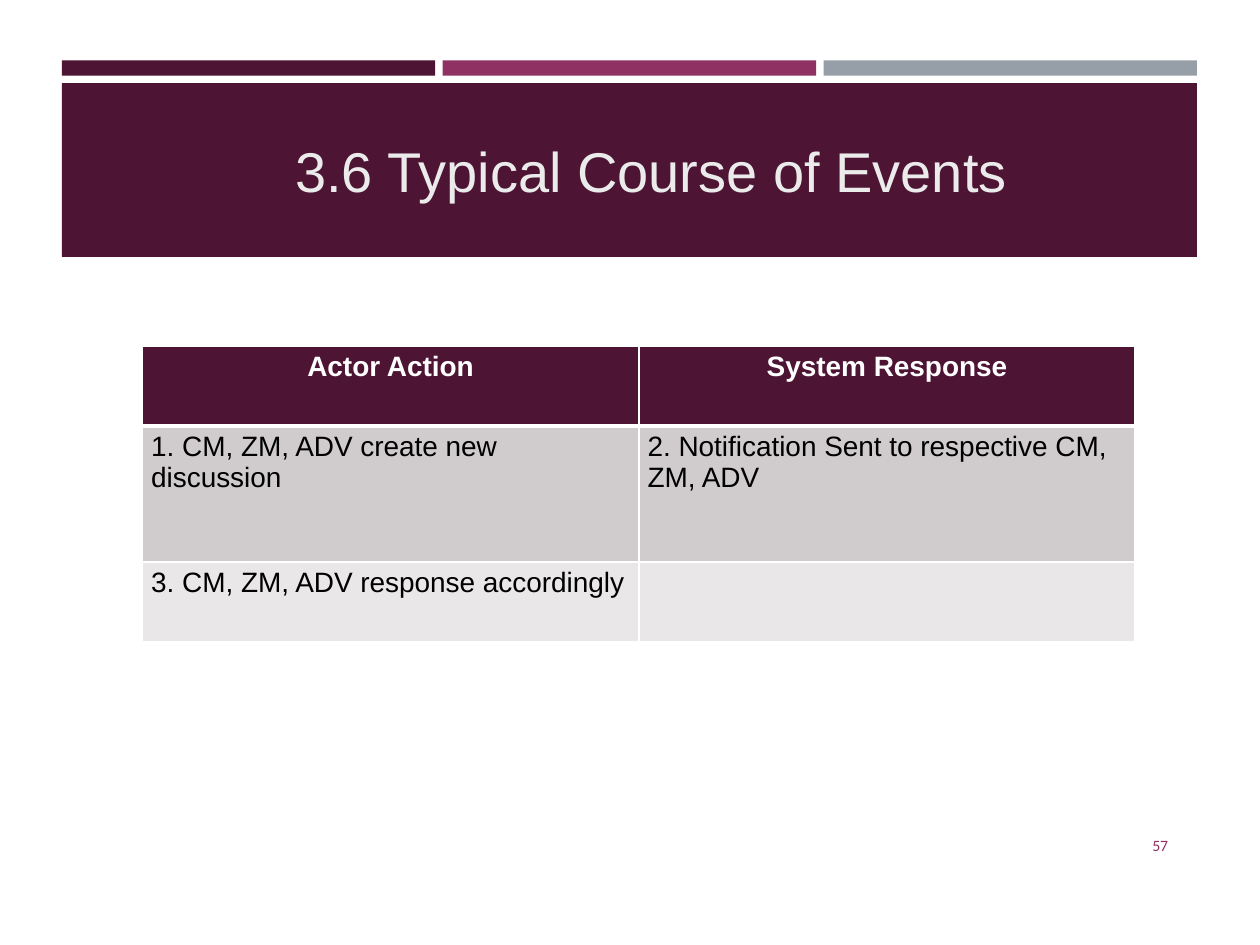
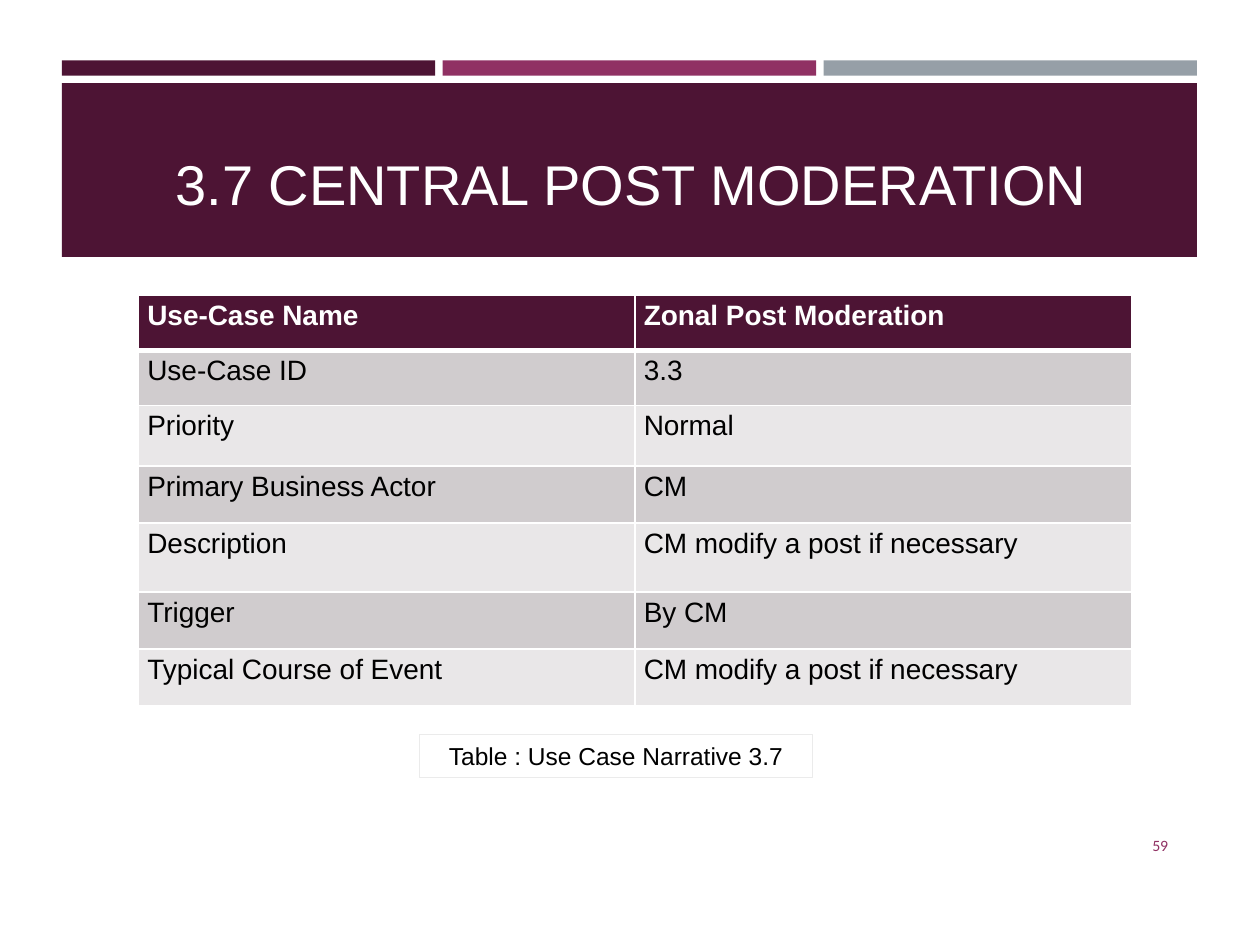
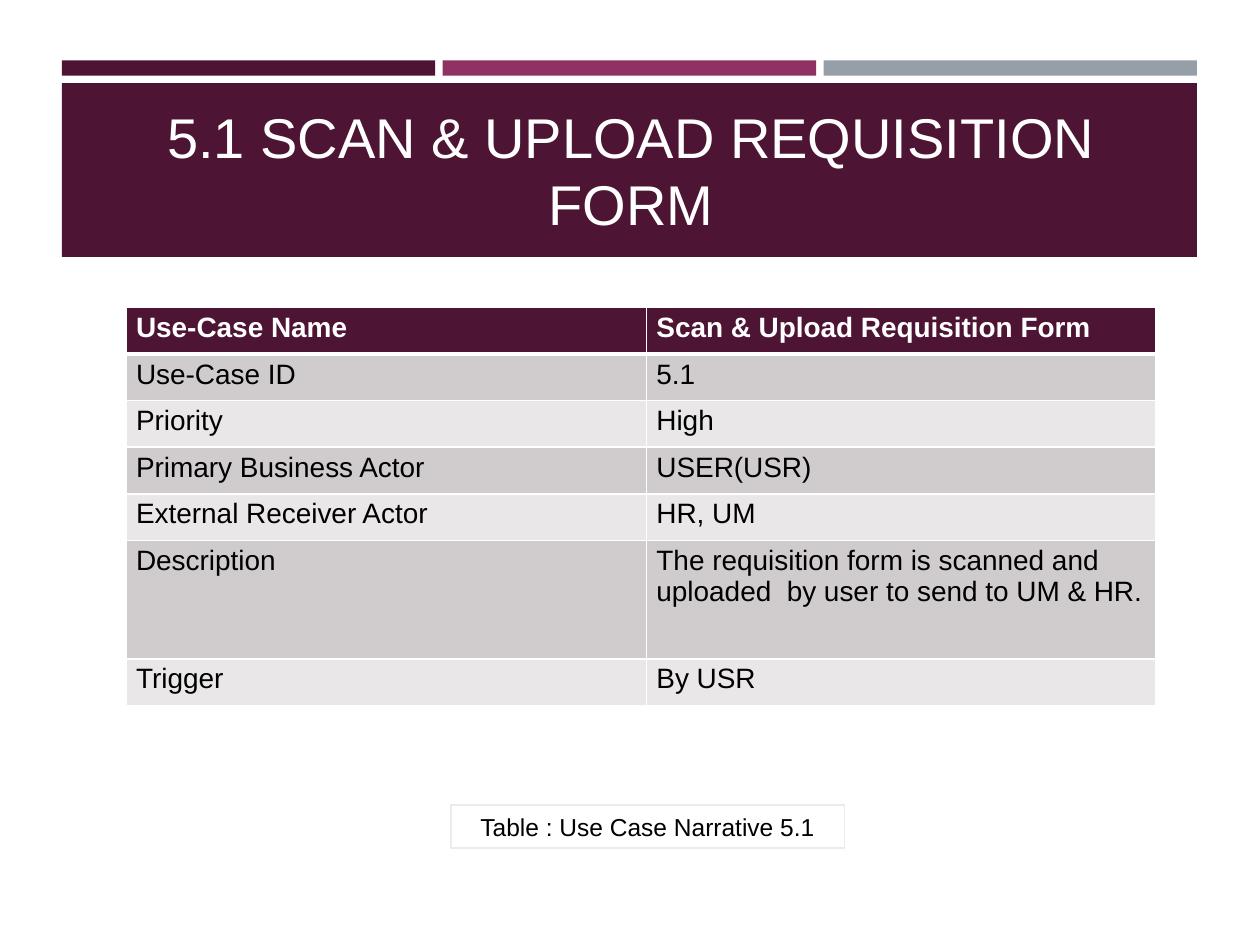
from lxml.etree import SubElement
from pptx import Presentation
from pptx.dml.color import RGBColor
from pptx.enum.shapes import MSO_SHAPE
from pptx.enum.text import MSO_ANCHOR, PP_ALIGN
from pptx.oxml.ns import qn
from pptx.util import Inches, Pt

COLORS = {
    "plum": "4D1434",
    "magenta": "903163",
    "slate": "969FA7",
    "white": "FFFFFF",
    "pale": "EBEBEB",
    "black": "000000",
    "odd_row": "D0CCCE",
    "even_row": "E9E7E8",
}

FORMATS = {
    "title": {"name": "Arial", "size": Pt(32)},
    "header": {"name": "Arial", "size": Pt(16), "bold": True},
    "body": {"name": "Arial", "size": Pt(16), "bold": False},
    "caption": {"name": "Arial", "size": Pt(14)},
    "number": {"name": "Calibri", "size": Pt(9)},
}

BAND_LEFT, BAND_WIDTH, BAR_GAP = 0.49, 9.01, 0.06


def rgb(name):
    return RGBColor.from_string(COLORS[name])


def write(tf, text, style, color, align=PP_ALIGN.LEFT):
    p = tf.paragraphs[0]
    p.alignment = align
    if text:
        r = p.add_run()
        r.text = text
        font = r.font
    else:
        font = p.font
    for key, value in FORMATS[style].items():
        setattr(font, key, value)
    font.color.rgb = rgb(color)


def add_rect(s, box, fill=None, line=None):
    sp = s.shapes.add_shape(MSO_SHAPE.RECTANGLE, *map(Inches, box))
    sp.shadow.inherit = False
    if fill:
        sp.fill.solid()
        sp.fill.fore_color.rgb = rgb(fill)
    else:
        sp.fill.background()
    if line:
        sp.line.color.rgb = rgb(line)
        sp.line.width = Pt(0.75)
    else:
        sp.line.fill.background()
    return sp


def add_bands(s):
    bars = ("plum", "magenta", "slate")
    width = (BAND_WIDTH - BAR_GAP * (len(bars) - 1)) / len(bars)
    for i, color in enumerate(bars):
        add_rect(s, (BAND_LEFT + i * (width + BAR_GAP), 0.48, width, 0.12), color)
    add_rect(s, (BAND_LEFT, 0.66, BAND_WIDTH, 1.38), "plum")


def add_text(s, box, text, style, color, align, anchor):
    tf = s.shapes.add_textbox(*map(Inches, box)).text_frame
    tf.word_wrap = True
    tf.vertical_anchor = anchor
    write(tf, text, style, color, align)


def add_title(s, box, text, color="white"):
    add_text(s, box, text, "title", color, PP_ALIGN.CENTER, MSO_ANCHOR.BOTTOM)


def add_number(s, number):
    add_text(s, (8.53, 6.51, 0.84, 0.4), number, "number", "magenta",
             PP_ALIGN.RIGHT, MSO_ANCHOR.MIDDLE)


def add_caption(s, left, top, text):
    tf = add_rect(s, (left, top, 3.12, 0.34), line="pale").text_frame
    tf.word_wrap = True
    tf.vertical_anchor = MSO_ANCHOR.MIDDLE
    write(tf, text, "caption", "black", PP_ALIGN.CENTER)


def set_borders(cell, widths):
    tcPr = cell._tc.get_or_add_tcPr()
    for side, width in widths.items():
        ln = SubElement(tcPr, qn(f"a:ln{side}"), w=str(Pt(width)))
        fill = SubElement(ln, qn("a:solidFill"))
        SubElement(fill, qn("a:srgbClr"), val=COLORS["white"])


def add_table(s, left, top, cols, heights, rows, inset=0.07, header_align=PP_ALIGN.LEFT):
    box = map(Inches, (left, top, sum(cols), sum(heights)))
    table = s.shapes.add_table(len(rows), len(cols), *box).table
    for column, width in zip(table.columns, cols):
        column.width = Inches(width)
    for i, (height, texts) in enumerate(zip(heights, rows)):
        table.rows[i].height = Inches(height)
        for j, text in enumerate(texts):
            cell = table.cell(i, j)
            cell.margin_left = cell.margin_right = Inches(inset)
            cell.margin_top = cell.margin_bottom = Inches(0.04)
            set_borders(cell, {"L": 1, "R": 1, "T": 3 if i == 1 else 1, "B": 3 if i == 0 else 1})
            cell.fill.solid()
            if i == 0:
                cell.fill.fore_color.rgb = rgb("plum")
                write(cell.text_frame, text, "header", "white", header_align)
            else:
                cell.fill.fore_color.rgb = rgb("odd_row" if i % 2 else "even_row")
                write(cell.text_frame, text, "body", "black")


def new_slide(prs):
    s = prs.slides.add_slide(prs.slide_layouts[6])
    add_bands(s)
    return s


def add_events(prs):
    s = new_slide(prs)
    add_table(s, 1.13, 2.75, (3.94, 3.94), (0.63, 1.08, 0.63), [
        ("Actor Action", "System Response"),
        ("1. CM, ZM, ADV create new discussion",
         "2. Notification Sent to respective CM, ZM, ADV"),
        ("3. CM, ZM, ADV response accordingly", ""),
    ], header_align=PP_ALIGN.CENTER)
    add_title(s, (1.17, 1, 8, 0.67), "3.6 Typical Course of Events", "pale")
    add_number(s, "57")


def add_moderation(prs):
    s = new_slide(prs)
    add_title(s, (0.64, 1, 8.74, 0.77), "3.7 CENTRAL POST MODERATION")
    add_table(s, 1.1, 2.34, (3.94, 3.94), (0.44, 0.44, 0.48, 0.45, 0.55, 0.45, 0.45), [
        ("Use-Case Name", "Zonal Post Moderation"),
        ("Use-Case ID", "3.3"),
        ("Priority", "Normal"),
        ("Primary Business Actor", "CM"),
        ("Description", "CM modify a post if necessary"),
        ("Trigger", "By CM"),
        ("Typical Course of Event", "CM modify a post if necessary"),
    ])
    add_number(s, "59")
    add_caption(s, 3.33, 5.83, "Table : Use Case Narrative 3.7")


def add_requisition(prs):
    s = new_slide(prs)
    add_table(s, 1, 2.44, (4.13, 4.04), [0.37] * 5 + [0.94, 0.37], [
        ("Use-Case Name", "Scan & Upload Requisition Form"),
        ("Use-Case ID", "5.1"),
        ("Priority", "High"),
        ("Primary Business Actor", "USER(USR)"),
        ("External Receiver Actor", "HR, UM"),
        ("Description",
         "The requisition form is scanned and uploaded  by user to send to UM & HR."),
        ("Trigger", "By USR"),
    ], inset=0.08)
    add_title(s, (0.64, 0.83, 8.74, 1.1), "5.1 SCAN & UPLOAD REQUISITION FORM")
    add_caption(s, 3.58, 6.39, "Table : Use Case Narrative 5.1")


def main():
    prs = Presentation()
    prs.slide_width, prs.slide_height = Inches(10), Inches(7.5)
    add_events(prs)
    add_moderation(prs)
    add_requisition(prs)
    prs.save("out.pptx")


if __name__ == "__main__":
    main()
